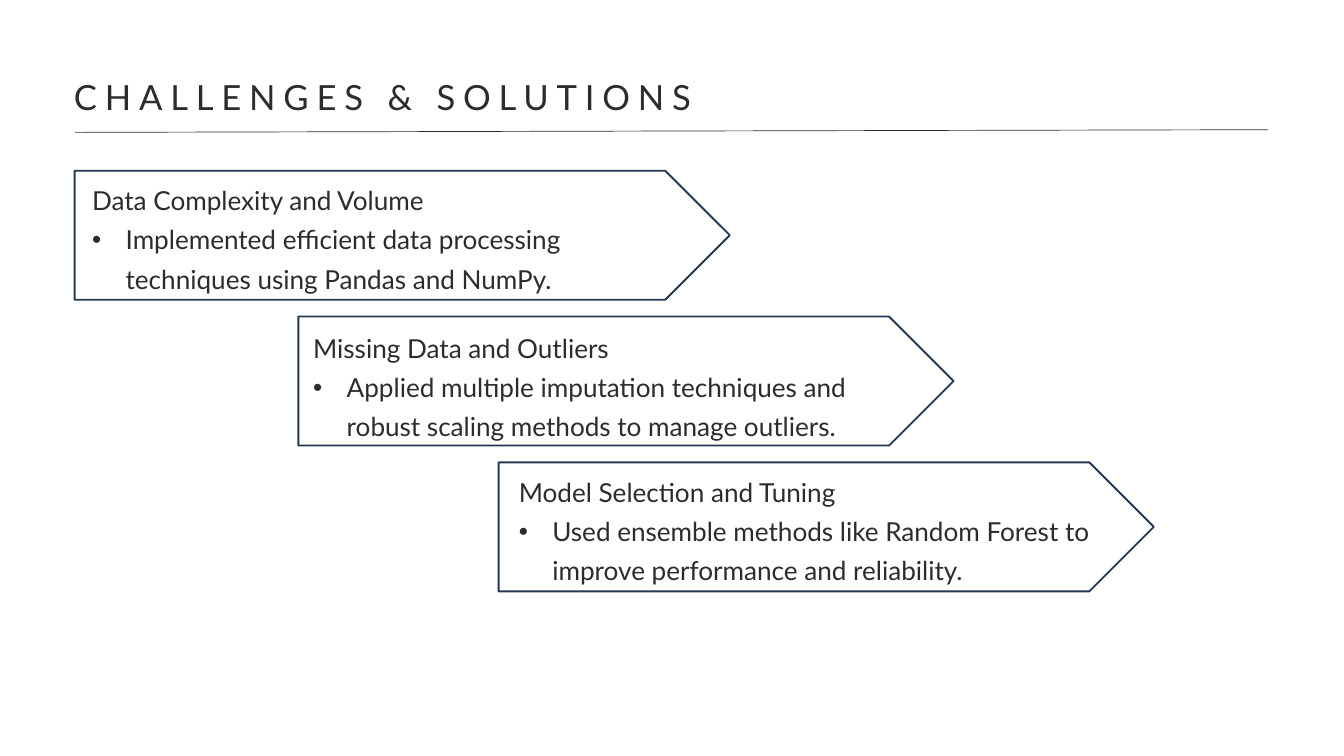
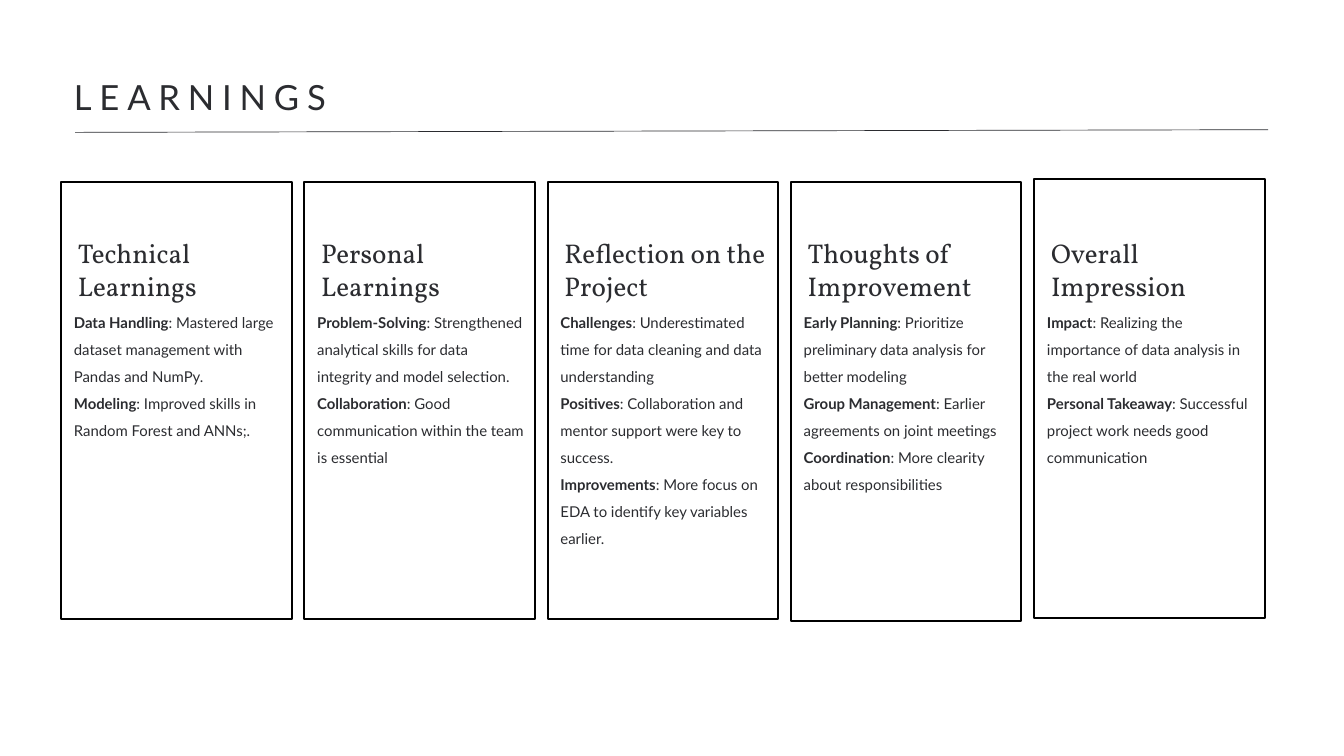
from pptx import Presentation
from pptx import util as u
from pptx.dml.color import RGBColor
from pptx.enum import shapes, text
from pptx.oxml.ns import qn
from lxml import etree

INK = RGBColor(0x2B, 0x2C, 0x30)
NAVY = RGBColor(0x23, 0x39, 0x53)
BLACK = RGBColor(0, 0, 0)
BODY_FONT = "Lato"
HEADING_FONT = "Vollkorn"

# Arrow left, text left, text top, challenge, solution
CHALLENGES = [
    (1.11, 1.37, 2.63, "Data Complexity and Volume",
     "Implemented efficient data processing techniques using Pandas and NumPy."),
    (4.44, 4.66, 4.83, "Missing Data and Outliers",
     "Applied multiple imputation techniques and robust scaling methods to manage outliers."),
    (7.42, 7.72, 6.97, "Model Selection and Tuning",
     "Used ensemble methods like Random Forest to improve performance and reliability."),
]

# Heading, card top, card height, body height, labelled points
LEARNINGS = [
    ("Technical Learnings", 2.71, 6.5, 1.98, [
        ("Data Handling", ": Mastered large dataset management with Pandas and NumPy."),
        ("Modeling", ": Improved skills in Random Forest and ANNs;.")]),
    ("Personal Learnings", 2.71, 6.5, 2.8, [
        ("Problem-Solving", ": Strengthened analytical skills for data integrity and model selection."),
        ("Collaboration", ": Good communication within the team is essential")]),
    ("Reflection on the Project", 2.71, 6.5, 3.61, [
        ("Challenges", ": Underestimated time for data cleaning and data understanding"),
        ("Positives", ": Collaboration and mentor support were key to success."),
        ("Improvements", ": More focus on EDA to identify key variables earlier.")]),
    ("Thoughts of Improvement", 2.71, 6.53, 2.8, [
        ("Early Planning", ": Prioritize preliminary data analysis for better modeling"),
        ("Group Management", ": Earlier agreements on joint meetings"),
        ("Coordination", ": More clearity about responsibilities")]),
    ("Overall Impression", 2.67, 6.53, 2.39, [
        ("Impact", ": Realizing the importance of data analysis in the real world"),
        ("Personal Takeaway", ": Successful project work needs good communication")]),
]


class Deck:
    """Holds the shared style and the slide being built."""

    def __init__(self):
        self.presentation = Presentation()
        self.presentation.slide_width = u.Inches(20)
        self.presentation.slide_height = u.Inches(11.25)
        self.slide = None

    def add_slide(self, title):
        self.slide = self.presentation.slides.add_slide(self.presentation.slide_layouts[6])
        box = self.text_box(1.1, 1.03, 17.75, 0.67, [[(title, False)]], 37.1, 52)
        properties = box.text_frame.paragraphs[0].runs[0].font._element
        properties.set("spc", "840")
        self.rule(1.12, 1.97, 18.87, 1.93)

    def rule(self, x1, y1, x2, y2):
        line = self.slide.shapes.add_connector(
            shapes.MSO_CONNECTOR.STRAIGHT, *map(u.Inches, (x1, y1, x2, y2)))
        line.line.color.rgb = INK
        line.line.width = u.Pt(0.75)
        etree.SubElement(line._element.spPr, qn("a:effectLst"))

    def outline(self, kind, left, top, width, height, color):
        shape = self.slide.shapes.add_shape(kind, *map(u.Inches, (left, top, width, height)))
        shape.shadow.inherit = False
        shape.fill.background()
        shape.line.color.rgb = color
        shape.line.width = u.Pt(2)

    def text_box(self, left, top, width, height, paragraphs, size, spacing,
                 font=BODY_FONT, bullets=()):
        """Each paragraph is a list of (words, bold) runs; bullets lists bulleted indexes."""
        box = self.slide.shapes.add_textbox(*map(u.Inches, (left, top, width, height)))
        frame = box.text_frame
        frame.margin_left = frame.margin_top = frame.margin_right = frame.margin_bottom = 0
        frame.word_wrap = True
        frame.auto_size = text.MSO_AUTO_SIZE.SHAPE_TO_FIT_TEXT
        for index, runs in enumerate(paragraphs):
            paragraph = frame.paragraphs[0] if index == 0 else frame.add_paragraph()
            paragraph.line_spacing = u.Pt(spacing)
            if index in bullets:
                self.bullet(paragraph)
            for words, bold in runs:
                run = paragraph.add_run()
                run.text = words
                run.font.name = font
                run.font.size = u.Pt(size)
                run.font.bold = bold
                run.font.color.rgb = INK
        return box

    def bullet(self, paragraph):
        properties = paragraph._p.get_or_add_pPr()
        properties.set("marL", str(u.Inches(0.5)))
        properties.set("indent", str(u.Inches(-0.5)))
        etree.SubElement(properties, qn("a:buFont"), typeface="Arial")
        etree.SubElement(properties, qn("a:buChar"), char="•")


def build_challenges(deck):
    deck.add_slide("CHALLENGES & SOLUTIONS")
    for row, (arrow_left, text_left, text_top, challenge, solution) in enumerate(CHALLENGES):
        deck.text_box(text_left, text_top, 8.61, 1.71,
                      [[(challenge, False)], [(solution, False)]], 28, 42, bullets=[1])
        deck.outline(shapes.MSO_SHAPE.PENTAGON, arrow_left, 2.54 + 2.17 * row,
                     9.75, 1.92, NAVY)


def build_learnings(deck):
    deck.add_slide("LEARNINGS")
    for column, (heading, top, height, body_height, points) in enumerate(LEARNINGS):
        left = 0.91 + 3.62 * column
        body = [[(label, True), (detail, False)] for label, detail in points]
        deck.text_box(left + 0.19, 4.54, 3.11, body_height, body, 16, 28.8)
        deck.text_box(left + 0.25, 3.52, 3.05, 0.95, [[(heading, False)]], 29, 34.8,
                      HEADING_FONT)
        deck.outline(shapes.MSO_SHAPE.RECTANGLE, left, top, 3.43, height, BLACK)


def main():
    deck = Deck()
    build_challenges(deck)
    build_learnings(deck)
    deck.presentation.save("out.pptx")


if __name__ == "__main__":
    main()
